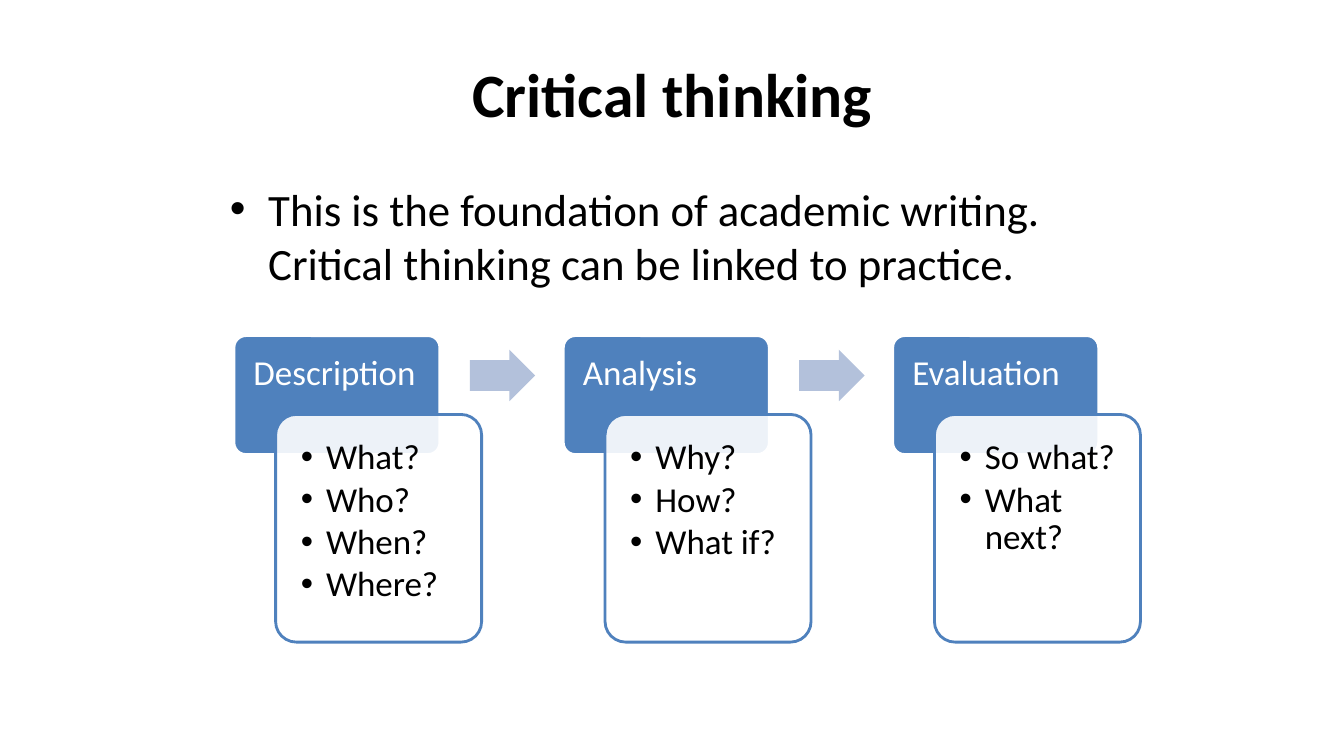
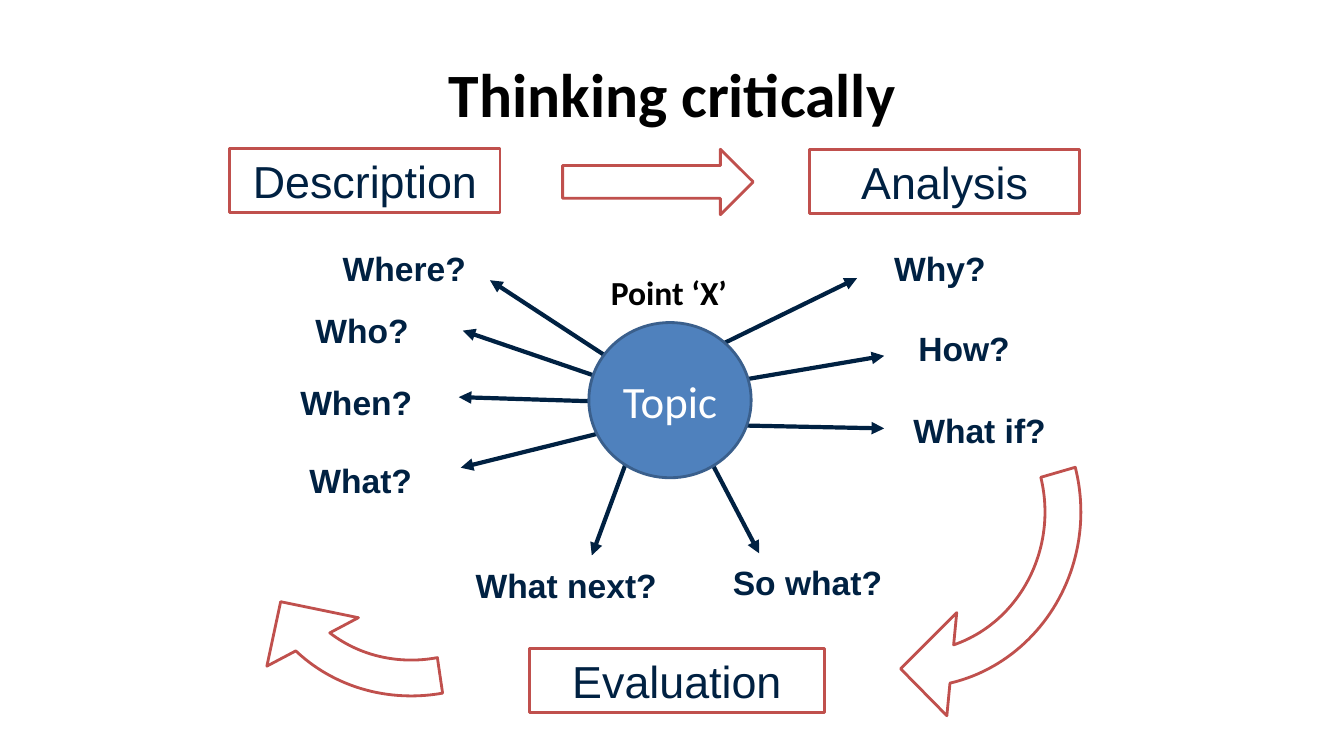
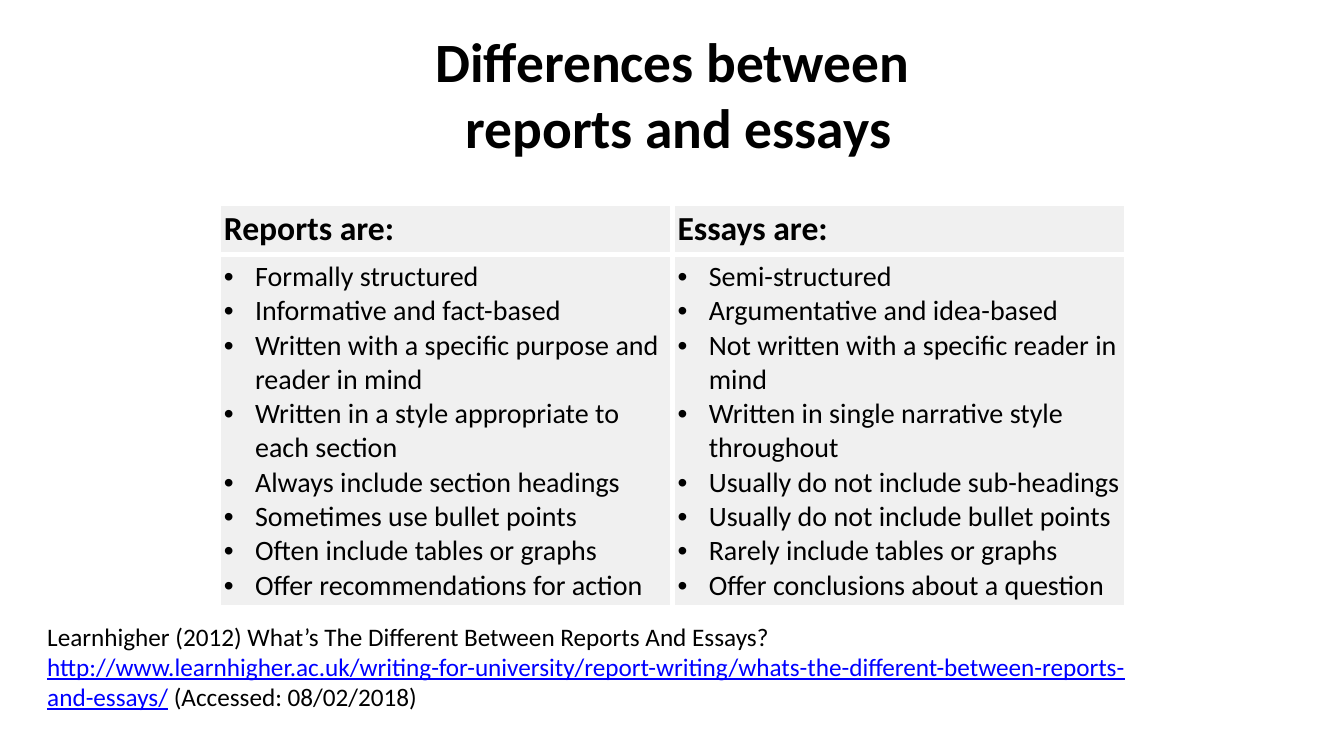
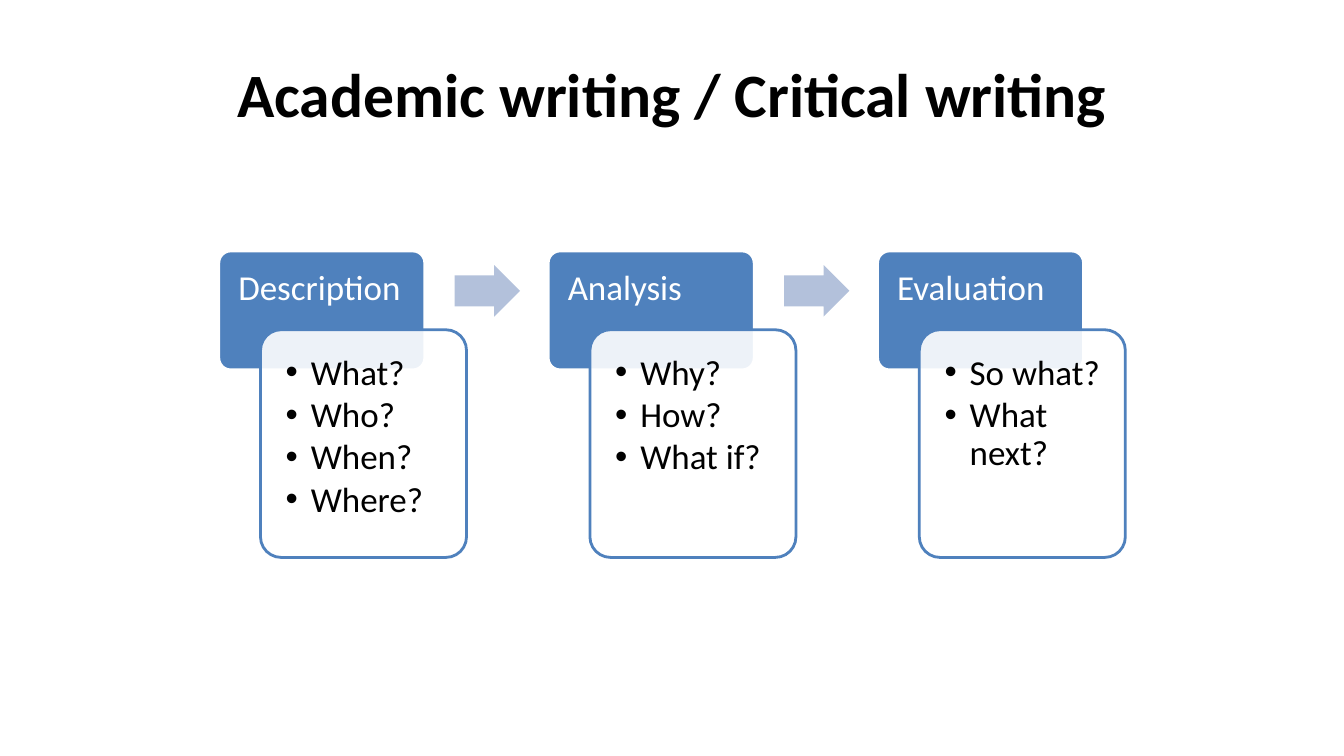
import dataclasses

import lxml.etree
import pptx
import pptx.dml.color
import pptx.enum.shapes
import pptx.enum.text
import pptx.oxml
import pptx.oxml.ns
import pptx.util

KIND = pptx.enum.shapes.MSO_SHAPE
ALIGN = pptx.enum.text.PP_ALIGN
ANCHOR = pptx.enum.text.MSO_ANCHOR


@dataclasses.dataclass(frozen=True)
class Theme:
    black: str = "000000"
    white: str = "FFFFFF"
    blue: str = "4F81BD"
    edge: str = "3A5F8C"
    pale: str = "B3C1DB"
    navy: str = "002142"
    red: str = "C0504D"
    grey: str = "F0F0F0"
    link: str = "0000FF"
    main: str = "Calibri"
    plain: str = "Arial"
    title: float = 44
    tight: float = 39.6
    large: float = 32
    step: float = 25
    label: float = 24
    item: float = 20
    note: float = 18
    rule: float = 2
    spoke: float = 3
    grid: float = 3.75


@dataclasses.dataclass(frozen=True)
class Box:
    left: float
    top: float
    wide: float
    high: float

    def at(self, left, top, wide, high):
        return Box(self.left + left, self.top + top, wide, high)

    def cut(self, left, top, wide, high):
        return self.at(self.wide * left / 100, self.high * top / 100,
                       self.wide * wide / 100, self.high * high / 100)

    def emu(self):
        return [cell(n) for n in (self.left, self.top, self.wide, self.high)]


T = Theme()
PAGE = Box(0, 0, 133.3, 75)

STEPS = [
    ("Description", ["What?", "Who?", "When?", "Where?"]),
    ("Analysis", ["Why?", "How?", "What if?"]),
    ("Evaluation", ["So what?", "What next?"]),
]

SPOKES = [
    ("What?", (-28.7, 13.1, 13.9), (1.8, 10.8), (-12.7, 14.4)),
    ("When?", (-29.6, 5.4, 17.2), (0, 7.8), (-12.9, 7.4)),
    ("Who?", (-28.1, -1.7, 12.8), (2.4, 5.9), (-12.5, 0.8)),
    ("Where?", (-25.4, -7.9, 16.6), (4.1, 4.9), (-9.8, -4.2)),
    ("Why?", (29.3, -7.9, 14.1), (13.3, 2.1), (26.6, -4.4)),
    ("How?", (31.7, 0, 15.6), (14, 5.9), (29.3, 3.3)),
    ("What if?", (31.2, 8.2, 19.9), (14.5, 10.2), (29.3, 10.5)),
    ("So what?", (13.3, 23.3, 18.9), (11.6, 12.8), (16.9, 22.9)),
    ("What next?", (-12.2, 23.6, 21.6), (4.1, 12.8), (0.3, 23.1)),
]

KINDS = [
    ("Reports are:", [
        "Formally structured",
        "Informative and fact-based",
        "Written with a specific purpose and reader in mind",
        "Written in a style appropriate to each section",
        "Always include section headings",
        "Sometimes use bullet points",
        "Often include tables or graphs",
        "Offer recommendations for action",
    ]),
    ("Essays are:", [
        "Semi-structured",
        "Argumentative and idea-based",
        "Not written with a specific reader in mind",
        "Written in single narrative style throughout",
        "Usually do not include sub-headings",
        "Usually do not include bullet points",
        "Rarely include tables or graphs",
        "Offer conclusions about a question",
    ]),
]

SOURCE = [
    ("Learnhigher (2012) What’s The Different Between Reports And Essays? ", {}),
    ("http://www.learnhigher.ac.uk/writing-for-university/report-writing/"
     "whats-the-different-between-reports-and-essays/",
     {"color": T.link, "under": True}),
    (" (Accessed: 08/02/2018)", {}),
]


def cell(n):
    return pptx.util.Inches(n / 10)


def rgb(code):
    return pptx.dml.color.RGBColor.from_string(code)


def tag(root, name, **attrs):
    node = lxml.etree.SubElement(root, pptx.oxml.ns.qn(name))
    for key, value in attrs.items():
        node.set(key, str(value))
    return node


def style(run, size, font, color, bold, under=False):
    run.font.size = pptx.util.Pt(size)
    run.font.name = font
    run.font.color.rgb = rgb(color)
    run.font.bold = bold
    run.font.underline = under


def put(frame, paras, size=T.label, font=T.main, color=T.black, bold=False,
        align=ALIGN.LEFT, anchor=None, inset=None, wrap=True, indent=0,
        line=None, after=None):
    base = {"size": size, "font": font, "color": color, "bold": bold}
    frame.word_wrap = wrap
    if anchor is not None:
        frame.vertical_anchor = anchor
    if inset is not None:
        frame.margin_left = frame.margin_right = cell(inset)
        frame.margin_top = frame.margin_bottom = cell(inset)
    for i, runs in enumerate([paras] if isinstance(paras, str) else paras):
        para = frame.add_paragraph() if i else frame.paragraphs[0]
        para.alignment = align
        if indent:
            props = para._p.get_or_add_pPr()
            props.set("marL", str(cell(indent)))
            props.set("indent", str(-cell(indent)))
            tag(props, "a:buFont", typeface=T.plain)
            tag(props, "a:buChar", char="•")
        if line:
            para.line_spacing = line
        if after:
            para.space_after = pptx.util.Pt(after)
        for text, extra in [(runs, {})] if isinstance(runs, str) else runs:
            for j, part in enumerate(text.split("\n")):
                if j:
                    para.add_line_break()
                run = para.add_run()
                run.text = part
                style(run, **{**base, **extra})


def draw(slide, kind, box, fill, edge=None, adjust=(), turn=0, clear=None):
    shape = slide.shapes.add_shape(kind, *box.emu())
    shape.shadow.inherit = False
    shape.fill.solid()
    shape.fill.fore_color.rgb = rgb(fill)
    if clear:
        color = shape._element.spPr.xpath("a:solidFill/a:srgbClr")[0]
        tag(color, "a:alpha", val=clear * 1000)
    if edge:
        shape.line.color.rgb = rgb(edge)
        shape.line.width = pptx.util.Pt(T.rule)
    else:
        shape.line.fill.background()
    for i, value in enumerate(adjust):
        shape.adjustments[i] = value
    shape.rotation = turn
    return shape


def write(slide, box, paras, **form):
    put(slide.shapes.add_textbox(*box.emu()).text_frame, paras, **form)


def move(shape, box):
    shape.left, shape.top, shape.width, shape.height = box.emu()


def start(deck, title, size=T.title, layout=5):
    slide = deck.slides.add_slide(deck.slide_layouts[layout])
    move(slide.shapes.title, PAGE.at(6.7, 3, 120, 12.5))
    frame = slide.shapes.title.text_frame
    frame.auto_size = pptx.enum.text.MSO_AUTO_SIZE.NONE
    put(frame, title, size=size, bold=True, align=ALIGN.CENTER,
        anchor=ANCHOR.MIDDLE)
    return slide


def flow(slide, box):
    for i, (name, asks) in enumerate(STEPS):
        part = box.at(i * box.wide * 0.363, 0, box.wide, box.high)
        head = draw(slide, KIND.ROUNDED_RECTANGLE, part.cut(0, 0, 22.7, 38.8),
                    T.blue, T.white, [0.1])
        put(head.text_frame, name, size=T.step, color=T.white, line=0.9,
            anchor=ANCHOR.TOP, inset=1.6)
        card = draw(slide, KIND.ROUNDED_RECTANGLE,
                    part.cut(4.6, 25.7, 22.7, 74.3), T.white, T.blue, [0.1],
                    clear=90)
        put(card.text_frame, asks, size=T.step, line=0.9, after=3.3,
            anchor=ANCHOR.TOP, inset=1.9, indent=2.5)
        if i < len(STEPS) - 1:
            draw(slide, KIND.RIGHT_ARROW, part.cut(26, 4.6, 7.2, 16.8),
                 T.pale, adjust=[0.6, 0.5])


def cycle(slide, box):
    places = [(0, 0, 26.8), (57.5, 0.1, 26.8), (29.7, 49.6, 29.3)]
    for (name, _), (left, top, wide) in zip(STEPS, places):
        shape = draw(slide, KIND.RECTANGLE, box.at(left, top, wide, 6.4),
                     T.white, T.red)
        put(shape.text_frame, name, size=T.large, font=T.plain, color=T.navy,
            align=ALIGN.CENTER)
    draw(slide, KIND.RIGHT_ARROW, box.at(33, 0.1, 18.9, 6.5), T.white, T.red)
    for left, top, turn, tail in [(47.4, 16.5, 95.2, 149.19),
                                  (-1.9, 18, 151.8, 173.9)]:
        draw(slide, KIND.CIRCULAR_ARROW, box.at(left, top, 41.2, 39.5),
             T.white, T.red, [0.09, 11.42, 204.75, tail, 0.13], turn)


def spoke(slide, box, tail, tip):
    ends = [cell(n) for x, y in (tail, tip) for n in (box.left + x, box.top + y)]
    line = slide.shapes.add_connector(
        pptx.enum.shapes.MSO_CONNECTOR.STRAIGHT, *ends)
    line.line.color.rgb = rgb(T.navy)
    line.line.width = pptx.util.Pt(T.spoke)
    tag(line.line._get_or_add_ln(), "a:tailEnd", type="triangle")
    tag(line._element.spPr, "a:effectLst")


def fan(slide, box):
    for name, (left, top, wide), tail, tip in SPOKES:
        write(slide, box.at(left, top, wide, 5), name, font=T.plain,
              color=T.navy, bold=True)
        spoke(slide, box, tail, tip)
    hub = draw(slide, KIND.OVAL, box, T.blue, T.edge)
    put(hub.text_frame, "Topic", size=T.large, color=T.white,
        align=ALIGN.CENTER, anchor=ANCHOR.MIDDLE)
    write(slide, box.at(1.2, -5.5, 13.6, 5), "Point ‘X’", bold=True, wrap=False)


def fill(spot, paras, **form):
    props = spot._tc.get_or_add_tcPr()
    for side in ("a:lnL", "a:lnR", "a:lnT", "a:lnB"):
        edge = tag(props, side, w=pptx.util.Pt(T.grid))
        tag(tag(edge, "a:solidFill"), "a:srgbClr", val=T.white)
    spot.fill.solid()
    spot.fill.fore_color.rgb = rgb(T.grey)
    spot.margin_left = spot.margin_right = cell(0.5)
    spot.margin_top = spot.margin_bottom = cell(0.5)
    put(spot.text_frame, paras, **form)


def compare(slide, box):
    table = slide.shapes.add_table(2, len(KINDS), *box.emu()).table
    table.first_row = table.horz_banding = False
    table.rows[0].height = cell(4.9)
    table.rows[1].height = cell(box.high - 4.9)
    for i, (name, points) in enumerate(KINDS):
        table.columns[i].width = cell(box.wide / len(KINDS))
        fill(table.cell(0, i), name, bold=True)
        fill(table.cell(1, i), points, size=T.item, indent=3.1)


def main():
    deck = pptx.Presentation()
    deck.slide_width, deck.slide_height = PAGE.emu()[2:]

    slide = start(deck, "Critical thinking", layout=1)
    body = slide.placeholders[1]
    move(body, PAGE.at(21.8, 17.5, 90, 49.5))
    put(body.text_frame, "This is the foundation of academic writing. "
        "Critical thinking can be linked to practice.", size=T.large,
        indent=3.8)
    flow(slide, PAGE.at(23.2, 33.3, 90, 30.4))

    slide = start(deck, "Thinking critically")
    cycle(slide, PAGE.at(22.8, 14.7, 84.3, 56))
    fan(slide, PAGE.at(58.4, 32, 16.1, 15.4))

    slide = start(deck, "Differences between\n reports and essays", T.tight)
    compare(slide, PAGE.at(21.7, 20.2, 90, 39.4))
    write(slide, PAGE.at(3.7, 61.1, 110.2, 10.1), [SOURCE], size=T.note)

    slide = start(deck, "Academic writing / Critical writing")
    flow(slide, PAGE.at(21.7, 24.9, 90, 30.4))

    deck.save("out.pptx")


if __name__ == "__main__":
    main()
